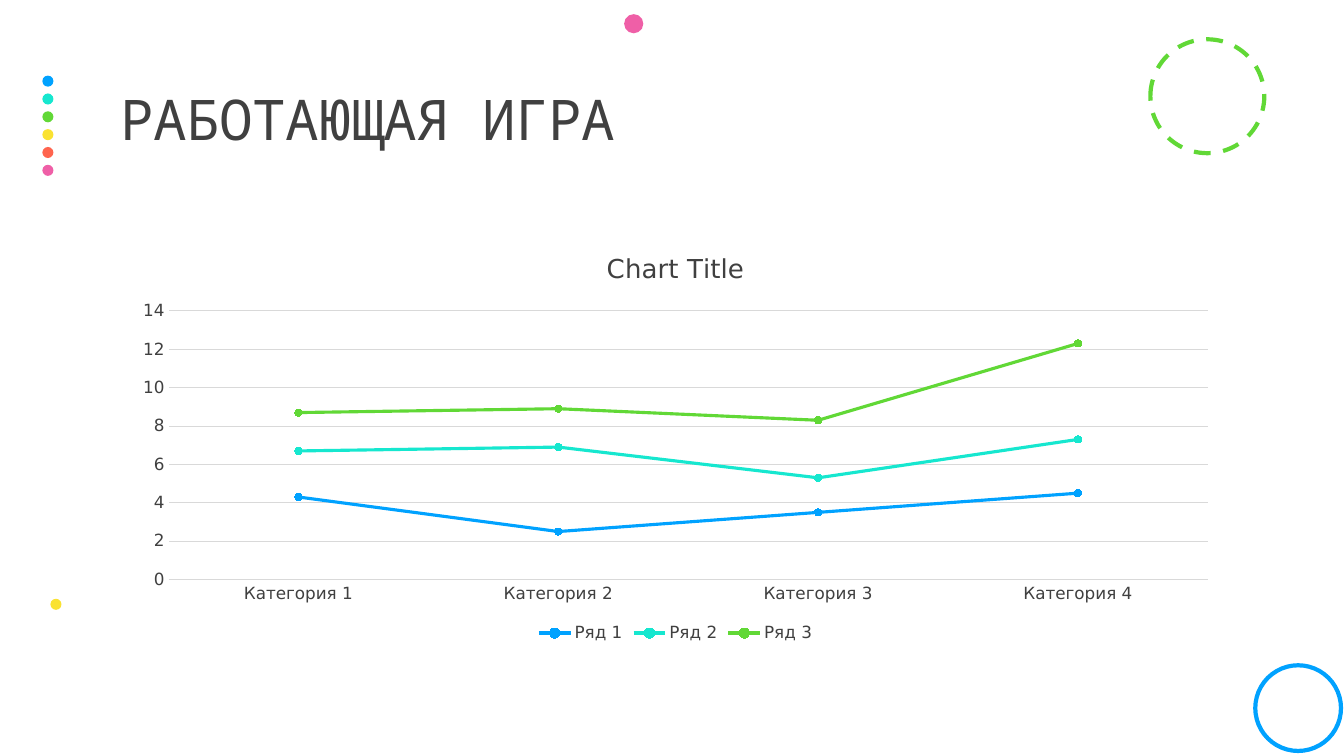
"""Build a slide with a stacked line chart and coloured circle decorations."""
from pptx import Presentation
from pptx.chart.data import CategoryChartData
from pptx.dml.color import RGBColor
from pptx.enum.chart import XL_CHART_TYPE, XL_LEGEND_POSITION, XL_MARKER_STYLE, XL_TICK_MARK
from pptx.enum.dml import MSO_LINE
from pptx.enum.shapes import MSO_SHAPE
from pptx.enum.text import MSO_ANCHOR, MSO_AUTO_SIZE, PP_ALIGN
from pptx.util import Inches, Pt

CIRCLE = MSO_SHAPE.OVAL
DASH = MSO_LINE.DASH
STACKED_LINES = XL_CHART_TYPE.LINE_MARKERS_STACKED
BOTTOM = XL_LEGEND_POSITION.BOTTOM
ROUND_MARKER = XL_MARKER_STYLE.CIRCLE
NO_TICKS = XL_TICK_MARK.NONE
MIDDLE = MSO_ANCHOR.MIDDLE
LEFT = PP_ALIGN.LEFT
NO_AUTOFIT = MSO_AUTO_SIZE.NONE

COLORS = {
    "blue": "00A2FF",
    "teal": "16E7CF",
    "green": "61D836",
    "yellow": "FAE232",
    "coral": "FF644E",
    "pink": "EF5FA7",
    "text": "404040",
    "grid": "D9D9D9",
}
CHART_FONT = "DejaVu Sans"
TITLE_FONT = "Noto Sans Mono"


def add_circle(left, top, size, color, filled=True):
    circle = slide.shapes.add_shape(
        CIRCLE, Inches(left), Inches(top), Inches(size), Inches(size))
    circle.shadow.inherit = False
    if filled:
        circle.fill.solid()
        circle.fill.fore_color.rgb = RGBColor.from_string(COLORS[color])
        circle.line.fill.background()
    else:
        circle.fill.background()
        circle.line.color.rgb = RGBColor.from_string(COLORS[color])
        circle.line.width = Pt(3)
    return circle


def style_font(font, name, size):
    font.name = name
    font.size = Pt(size)
    font.bold = False
    font.color.rgb = RGBColor.from_string(COLORS["text"])


prs = Presentation()
prs.slide_width = Inches(13.33)
prs.slide_height = Inches(7.5)
slide = prs.slides.add_slide(prs.slide_layouts[5])

for row, color in enumerate(["blue", "teal", "green", "yellow", "coral", "pink"]):
    add_circle(0.42, 0.75 + row * 0.177, 0.11, color)
dashed_ring = add_circle(11.41, 0.39, 1.13, "green", filled=False)
dashed_ring.line.dash_style = DASH
add_circle(6.19, 0.14, 0.19, "pink")
add_circle(0.5, 5.94, 0.11, "yellow")
add_circle(12.45, 6.6, 0.85, "blue", filled=False)

game_data = CategoryChartData()
game_data.categories = [f"Категория {number}" for number in range(1, 5)]
game_data.add_series("Ряд 1", [4.3, 2.5, 3.5, 4.5])
game_data.add_series("Ряд 2", [2.4, 4.4, 1.8, 2.8])
game_data.add_series("Ряд 3", [2, 2, 3, 5])
chart = slide.shapes.add_chart(
    STACKED_LINES, Inches(1.2), Inches(2.31), Inches(11), Inches(4.11), game_data).chart
style_font(chart.font, CHART_FONT, 10)

chart.has_title = True
chart.chart_title.include_in_layout = False
chart_heading = chart.chart_title.text_frame
chart_heading.text = "Chart Title"
style_font(chart_heading.paragraphs[0].runs[0].font, CHART_FONT, 18.6)

chart.has_legend = True
chart.legend.position = BOTTOM
chart.legend.include_in_layout = False
style_font(chart.legend.font, CHART_FONT, 12)

for axis in (chart.category_axis, chart.value_axis):
    axis.major_tick_mark = NO_TICKS
    axis.minor_tick_mark = NO_TICKS
    style_font(axis.tick_labels.font, CHART_FONT, 12)
chart.value_axis.has_major_gridlines = True
for line in (chart.category_axis.format.line, chart.value_axis.major_gridlines.format.line):
    line.color.rgb = RGBColor.from_string(COLORS["grid"])
    line.width = Pt(0.75)
chart.value_axis.format.line.fill.background()

plot = chart.plots[0]
plot.vary_by_categories = False
for series, color in zip(plot.series, ["blue", "teal", "green"]):
    series_color = RGBColor.from_string(COLORS[color])
    series.smooth = False
    series.format.line.color.rgb = series_color
    series.format.line.width = Pt(2.25)
    series.marker.style = ROUND_MARKER
    series.marker.size = 5
    series.marker.format.fill.solid()
    series.marker.format.fill.fore_color.rgb = series_color
    series.marker.format.line.color.rgb = series_color

title = slide.shapes.title
title.left, title.top = Inches(1.2), Inches(0.46)
title.width, title.height = Inches(11), Inches(1.5)
heading = title.text_frame
heading.text = "РАБОТАЮЩАЯ ИГРА"
heading.word_wrap = True
heading.auto_size = NO_AUTOFIT
heading.vertical_anchor = MIDDLE
heading.margin_left = heading.margin_right = 0
heading.margin_top = heading.margin_bottom = Inches(0.05)
heading_line = heading.paragraphs[0]
heading_line.alignment = LEFT
heading_line.line_spacing = 0.9
heading_font = heading_line.runs[0].font
style_font(heading_font, TITLE_FONT, 40)
heading_line.runs[0]._r.get_or_add_rPr().set("spc", "-50")

prs.save("out.pptx")
